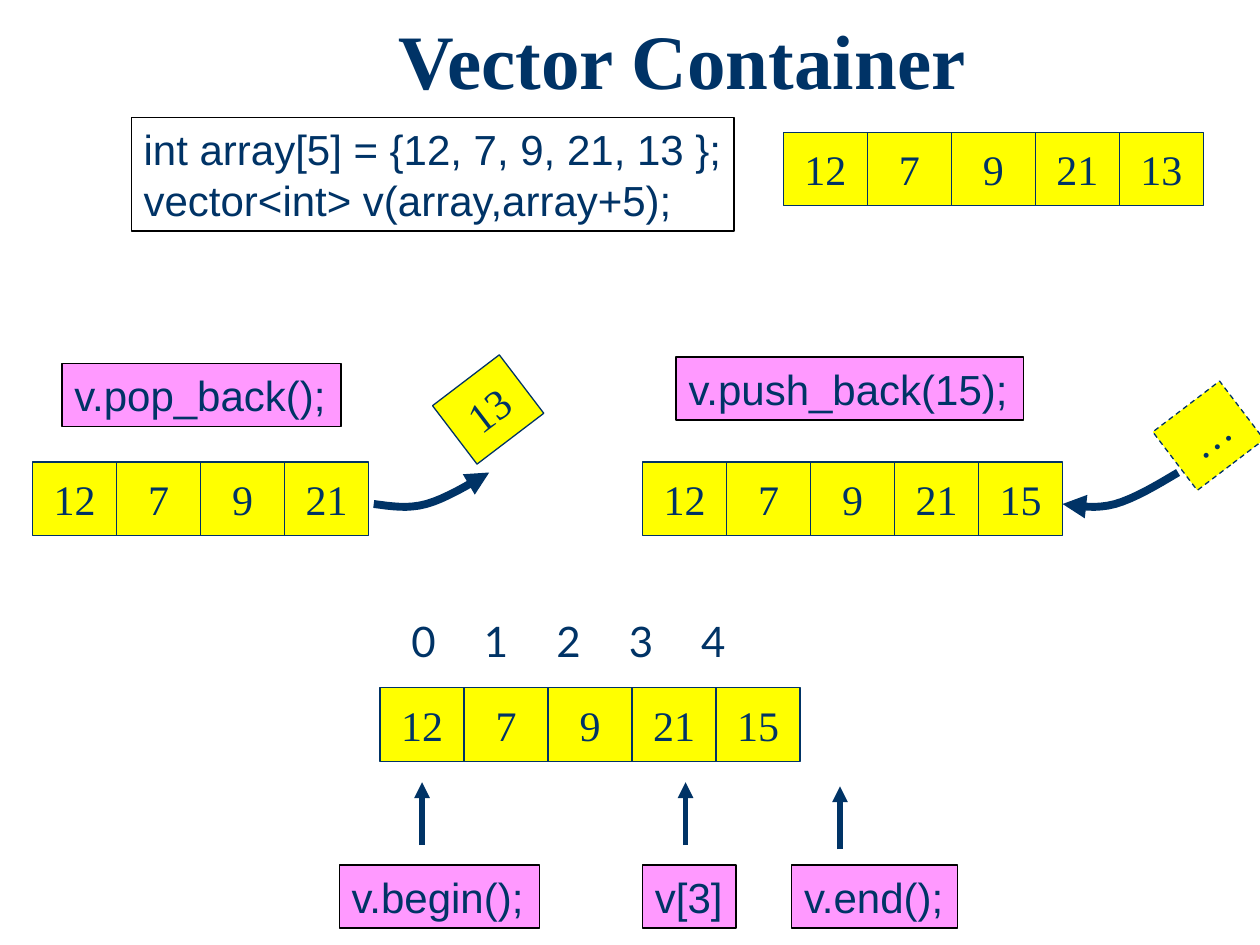
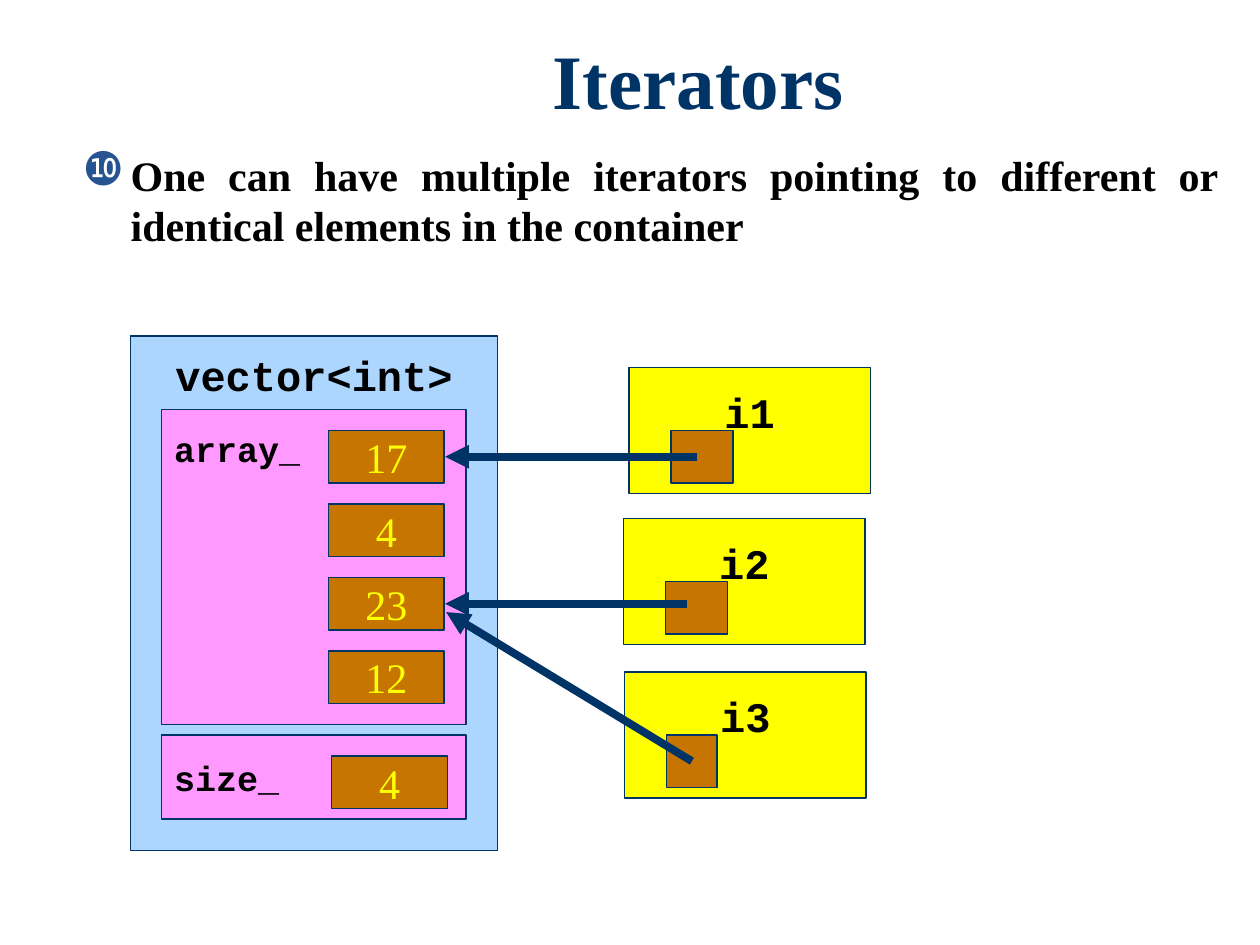
from lxml.etree import SubElement as add_element
from pptx import Presentation
from pptx.dml.color import RGBColor
from pptx.enum.dml import MSO_LINE_DASH_STYLE as Dash
from pptx.enum.shapes import MSO_CONNECTOR as Connector, MSO_SHAPE as Shape
from pptx.enum.text import MSO_ANCHOR as Anchor, PP_ALIGN as Align
from pptx.oxml.ns import qn
from pptx.util import Inches, Pt

COLUMNS, ROWS = 120, 90
WIDTH, HEIGHT = Inches(10), Inches(7.5)
NAVY, BLACK, WHITE = "003366", "000000", "FFFFFF"
YELLOW, PINK, SKY, BROWN, BULLET = "FFFF00", "FF99FF", "ADD6FF", "C67600", "275393"

CELL_WIDTH, CELL_HEIGHT, LABEL_HEIGHT = 8, 7, 6
TILT = 322.7
SERIF = {"name": "Times New Roman", "size": Pt(24)}
SANS = {"name": "Arial", "size": Pt(24)}
INDEX = {"name": "Lato", "size": Pt(24)}
MONO = {"name": "Courier New", "size": Pt(24), "bold": True}
SMALL_MONO = {**MONO, "size": Pt(20)}
TITLE = {"name": "Times New Roman", "size": Pt(44), "bold": True}
CENTRED = {"alignment": Align.CENTER}
MIDDLE = {"vertical_anchor": Anchor.MIDDLE, "word_wrap": False}
TOP = {"vertical_anchor": Anchor.TOP, "word_wrap": False}


def column(count):
    """Return the length of a number of grid columns."""
    return round(WIDTH * count / COLUMNS)


def row(count):
    """Return the length of a number of grid rows."""
    return round(HEIGHT * count / ROWS)


def place(box):
    """Turn a grid box into left, top, width and height."""
    left, top, width, height = box
    return column(left), row(top), column(width), row(height)


def inside(box, left, top, width, height):
    """Return a grid box placed relative to the corner of another."""
    return box[0] + left, box[1] + top, width, height


def colour(value):
    """Return the colour of a hex string."""
    return RGBColor.from_string(value)


def apply(target, values):
    """Set attributes from a dict of format values."""
    for name, value in values.items():
        setattr(target, name, value)


def write(shape, text, font, ink, frame_format, paragraph_format):
    """Write text, one paragraph a line, and return the paragraphs."""
    frame = shape.text_frame
    apply(frame, frame_format)
    frame.text = text
    for paragraph in frame.paragraphs:
        apply(paragraph, paragraph_format)
        for run in paragraph.runs:
            apply(run.font, font)
            run.font.color.rgb = colour(ink)
    return frame.paragraphs


def add_text(slide, box, text, font, ink, frame_format, paragraph_format):
    """Add a text box and return its paragraphs."""
    shape = slide.shapes.add_textbox(*place(box))
    return write(shape, text, font, ink, frame_format, paragraph_format)


def add_title(slide, box, text):
    """Add the slide title."""
    style = {**CENTRED, "line_spacing": 0.9}
    add_text(slide, box, text, TITLE, NAVY, {"word_wrap": True}, style)


def add_box(slide, box, fill, line=NAVY):
    """Add a filled rectangle with a thin outline."""
    shape = slide.shapes.add_shape(Shape.RECTANGLE, *place(box))
    shape.shadow.inherit = False
    shape.fill.solid()
    shape.fill.fore_color.rgb = colour(fill)
    shape.line.color.rgb = colour(line)
    shape.line.width = Pt(0.75)
    return shape


def add_cell(slide, box, text, fill=YELLOW, ink=NAVY):
    """Add one element of a container."""
    shape = add_box(slide, box, fill)
    write(shape, text, SERIF, ink, MIDDLE, CENTRED)
    return shape


def add_cells(slide, left, top, values):
    """Add a row of touching elements."""
    for index, value in enumerate(values):
        box = left + index * CELL_WIDTH, top, CELL_WIDTH, CELL_HEIGHT
        add_cell(slide, box, str(value))


def add_code(slide, box, text, fill=PINK):
    """Add a framed piece of code."""
    shape = add_box(slide, box, fill, BLACK)
    write(shape, text, SANS, NAVY, TOP, {"alignment": Align.LEFT})


def style_arrow(shape, width, end):
    """Give a line its colour, width and one arrowhead."""
    shape.line.color.rgb = colour(NAVY)
    shape.line.width = Pt(width)
    add_element(shape.line._get_or_add_ln(), qn(f"a:{end}"), type="triangle")


def add_arrow(slide, start, finish, width):
    """Add a straight arrow between two grid points."""
    ends = [step(value) for point in (start, finish)
            for step, value in zip((column, row), point)]
    arrow = slide.shapes.add_connector(Connector.STRAIGHT, *ends)
    style_arrow(arrow, width, "tailEnd")
    add_element(arrow._element.spPr, qn("a:effectLst"))


def bezier(points, share):
    """Return the point at a share of a curve."""
    while len(points) > 1:
        points = [tuple(a + (b - a) * share for a, b in zip(first, second))
                  for first, second in zip(points, points[1:])]
    return points[0]


def add_swoop(slide, left, top, end):
    """Add a curved arrow that rises to the right."""
    curves = (((0, 3), (1.6, 3.2), (3.2, 3.5), (5, 3)),
              ((5, 3), (6.8, 2.5), (9, 1.2), (11, 0)))
    steps = 8
    points = [bezier(curve, step / steps)
              for curve in curves for step in range(steps + 1)]
    points = [(column(left + x), row(top + y)) for x, y in points]
    builder = slide.shapes.build_freeform(*points[0])
    builder.add_line_segments(points[1:], close=False)
    shape = builder.convert_to_shape()
    shape.shadow.inherit = False
    shape.fill.background()
    style_arrow(shape, 4.5, end)


def add_loose_cell(slide, left, top, text, dash=None):
    """Add a tilted element outside its container."""
    shape = add_cell(slide, (left, top, CELL_WIDTH, CELL_HEIGHT), text)
    shape.rotation = TILT
    if dash:
        shape.line.dash_style = dash


def add_indices(slide, box, count, pitch):
    """Add the element numbers on equal tab stops."""
    text = "\t".join(map(str, range(count)))
    paragraph = add_text(slide, box, text, INDEX, NAVY, TOP, {})[0]
    tabs = add_element(paragraph._p.get_or_add_pPr(), qn("a:tabLst"))
    for index in range(1, count):
        add_element(tabs, qn("a:tab"), pos=str(column(index * pitch)), algn="l")


def add_bullet(slide, box, text):
    """Add a justified paragraph with a numbered disc."""
    style = {"alignment": Align.JUSTIFY, "space_before": Pt(4.8)}
    paragraph = add_text(slide, box, text, {**SERIF, "bold": True}, BLACK,
                         {"word_wrap": True}, style)[0]
    properties = paragraph._p.get_or_add_pPr()
    indent = Inches(0.38)
    properties.set("marL", str(indent))
    properties.set("indent", str(-indent))
    tint = add_element(properties, qn("a:buClr"))
    add_element(tint, qn("a:srgbClr"), val=BULLET)
    add_element(properties, qn("a:buSzPct"), val="110000")
    add_element(properties, qn("a:buChar"), char="\u277f")


def add_headed_box(slide, box, fill, text, font, inset, alignment):
    """Add a box with a heading below its top edge."""
    shape = add_box(slide, box, fill)
    style = {**TOP, "margin_top": Inches(inset)}
    write(shape, text, font, BLACK, style, {"alignment": alignment})


def add_record(slide, box, values):
    """Add the vector with its array and size members."""
    add_headed_box(slide, box, SKY, "vector<int>", MONO, 0.11, Align.CENTER)
    array = inside(box, 3, 7, 29, 30)
    add_headed_box(slide, array, PINK, "array_", SMALL_MONO, 0.14, Align.LEFT)
    for index, value in enumerate(values):
        cell = inside(array, 15.9, 2 + 7 * index, 11, 5)
        add_cell(slide, cell, str(value), BROWN, YELLOW)
    size = inside(box, 3, 38, 29, 8)
    write(add_box(slide, size, PINK), "size_", SMALL_MONO, BLACK, MIDDLE,
          {"alignment": Align.LEFT})
    add_cell(slide, inside(size, 16.2, 2, 11, 5), str(len(values)), BROWN, YELLOW)


def add_iterator(slide, box, name, slot_width):
    """Add an iterator with the slot that holds its pointer."""
    add_headed_box(slide, box, YELLOW, name, MONO, 0.15, Align.CENTER)
    add_box(slide, inside(box, 4, 6, slot_width, 5), BROWN)


def build_container_slide(slide):
    """Show how a vector is built, changed and accessed."""
    add_title(slide, (17, 1.6, 96, 11), "Vector Container")
    add_code(slide, (12.5, 11.2, 57.4, 10.8),
             "int array[5] = {12, 7, 9, 21, 13 };\nvector<int> v(array,array+5);",
             WHITE)
    start = [12, 7, 9, 21]
    for left, top, values in ((74.6, 12.6, start + [13]), (3.1, 44, start),
                              (61.2, 44, start + [15]), (36.2, 65.5, start + [15])):
        add_cells(slide, left, top, values)
    for left, top, width, text in ((5.9, 34.6, 26.6, "v.pop_back();"),
                                   (64.4, 34, 33.1, "v.push_back(15);"),
                                   (32.3, 82.4, 19.1, "v.begin();"),
                                   (61.2, 82.4, 8.9, "v[3]"),
                                   (75.4, 82.4, 15.8, "v.end();")):
        add_code(slide, (left, top, width, LABEL_HEIGHT), text)
    add_loose_cell(slide, 42.5, 35.5, "13")
    add_loose_cell(slide, 111.1, 38, "\u2026", Dash.DASH)
    add_swoop(slide, 35.6, 45, "tailEnd")
    add_swoop(slide, 101.2, 45, "headEnd")
    add_indices(slide, (38, 58, 35.9, LABEL_HEIGHT), 5, 6.9)
    for x, y in ((40.2, 74.5), (65.3, 74.5), (80, 74.9)):
        add_arrow(slide, (x, y + 6), (x, y), 3)


def build_iterators_slide(slide):
    """Show three iterators that point into one vector."""
    add_title(slide, (18.5, 3.5, 96, 11), "Iterators")
    add_bullet(slide, (6.7, 13.6, 110.5, 14.5),
               "One can have multiple iterators pointing to different or "
               "identical elements in the container")
    add_record(slide, (12.4, 32, 35, 49), [17, 4, 23, 12])
    for name, left, top, slot_width in (("i1", 59.9, 35, 5.9),
                                        ("i2", 59.4, 49.4, 5.9),
                                        ("i3", 59.5, 64, 4.8)):
        add_iterator(slide, (left, top, 23, 12), name, slot_width)
    for start, finish in (((66.4, 43.5), (42.4, 43.5)),
                          ((65.4, 57.5), (42.4, 57.5)),
                          ((65.9, 72.5), (42.5, 58.3))):
        add_arrow(slide, start, finish, 4.5)


presentation = Presentation()
apply(presentation, {"slide_width": WIDTH, "slide_height": HEIGHT})
for build in (build_container_slide, build_iterators_slide):
    build(presentation.slides.add_slide(presentation.slide_layouts[6]))
presentation.save("out.pptx")
